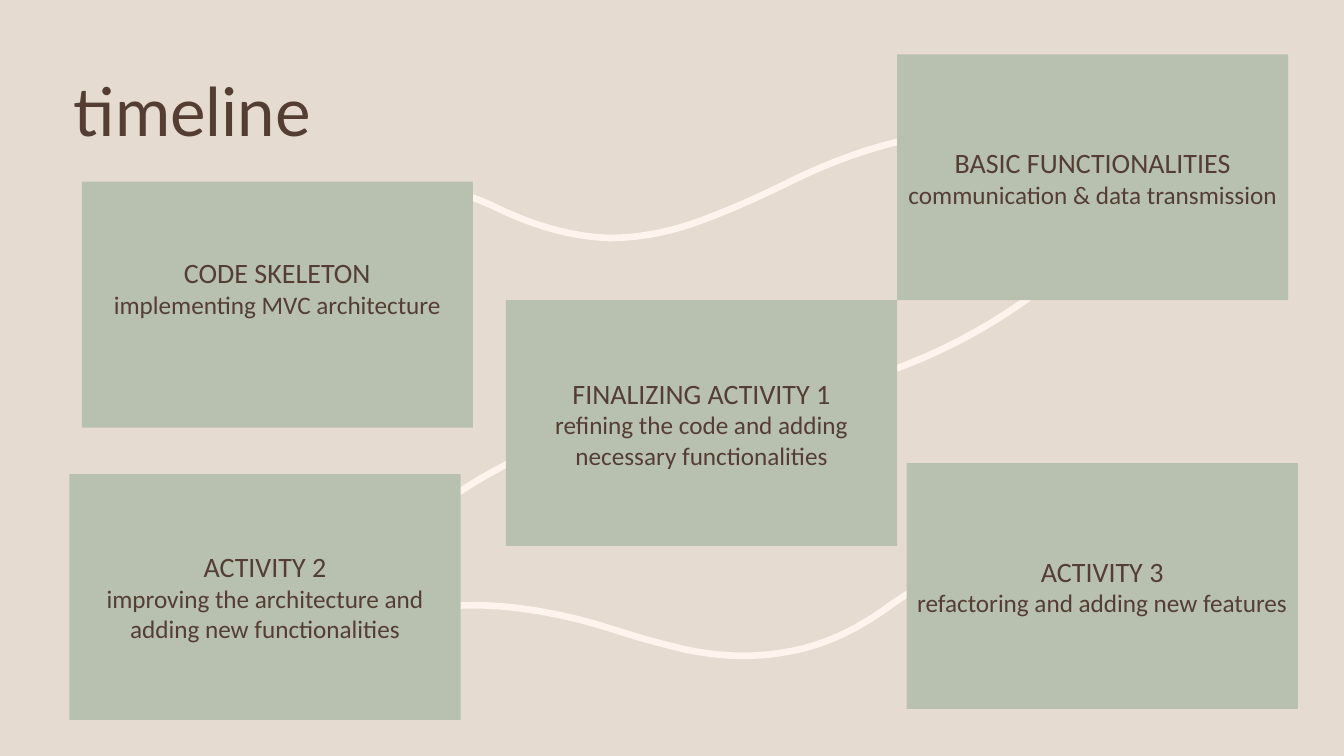
import pptx
import pptx.util
import pptx.dml.color
import pptx.enum.shapes
import pptx.enum.text

Pt = pptx.util.Pt
COLORS = {"background": "E6DBD0", "card": "B8C0B0", "path": "FEF3ED", "text": "543E34"}

# Content: heading, detail, left, top, extra space below the text
CARD_SIZE = (279.4, 175.6)
CARDS = [
    ("CODE SKELETON", "implementing MVC architecture", 58.4, 129.8, 24),
    ("BASIC FUNCTIONALITIES", "communication & data transmission", 640.8, 38.8, 0),
    ("FINALIZING ACTIVITY 1", "refining the code and adding necessary functionalities",
     361.4, 214.4, 0),
    ("ACTIVITY 2", "improving the architecture and adding new functionalities",
     49.6, 338.6, 0),
    ("ACTIVITY 3", "refactoring and adding new features", 647.6, 330.8, 0),
]

# Winding paths: a start point, then three points for each cubic curve
PATHS = [
    [(600, 276), (657, 261), (709, 235), (754, 198)],
    [(420, 308), (365, 325), (320, 353), (280, 388)],
    [(221, 161), (252, 135), (287, 127), (323, 137),
     (336, 140), (346, 144), (358, 150), (382, 161), (407, 169), (435, 170),
     (459, 170), (482, 165), (505, 156), (531, 146), (545, 139), (560, 132),
     (577, 123), (677, 74), (739, 105)],
    [(662, 417), (651, 422), (642, 428), (631, 436),
     (611, 450), (587, 462), (560, 466), (537, 470), (514, 469), (490, 464),
     (464, 458), (449, 453), (433, 448), (416, 443), (312, 410), (250, 458)],
]
CURVE_STEPS = 16


def color(name):
    return pptx.dml.color.RGBColor.from_string(COLORS[name])


def style_text(para, font_name, size):
    for span in para.runs:
        span.font.name = font_name
        span.font.size = Pt(size)
        span.font.color.rgb = color("text")


def curve_points(points):
    """Points along a chain of cubic curves, after its start point."""
    for first in range(0, len(points) - 1, 3):
        a, b, c, d = points[first:first + 4]
        for step in range(1, CURVE_STEPS + 1):
            t = step / CURVE_STEPS
            u = 1 - t
            yield tuple(
                Pt(u**3 * a[i] + 3 * u * u * t * b[i] + 3 * u * t * t * c[i] + t**3 * d[i])
                for i in (0, 1))


def add_path(page, points):
    start_x, start_y = points[0]
    builder = page.shapes.build_freeform(Pt(start_x), Pt(start_y))
    builder.add_line_segments(list(curve_points(points)), close=False)
    path = builder.convert_to_shape()
    path.shadow.inherit = False
    path.fill.background()
    path.line.color.rgb = color("path")
    path.line.width = Pt(4.75)


def add_card(page, heading, detail, left, top, space_below):
    width, height = CARD_SIZE
    card = page.shapes.add_shape(
        pptx.enum.shapes.MSO_SHAPE.RECTANGLE, Pt(left), Pt(top), Pt(width), Pt(height))
    card.shadow.inherit = False
    card.fill.solid()
    card.fill.fore_color.rgb = color("card")
    card.line.fill.background()
    frame = card.text_frame
    frame.word_wrap = True
    frame.vertical_anchor = pptx.enum.text.MSO_ANCHOR.MIDDLE
    frame.margin_left = frame.margin_right = Pt(4)
    frame.margin_top = Pt(3.6)
    frame.margin_bottom = Pt(3.6 + space_below)
    frame.text = f"{heading}\n{detail}"
    for para, size in zip(frame.paragraphs, (20, 18)):
        para.alignment = pptx.enum.text.PP_ALIGN.CENTER
        style_text(para, "Calibri", size)


def main():
    deck = pptx.Presentation()
    deck.slide_width, deck.slide_height = Pt(960), Pt(540)
    page = deck.slides.add_slide(deck.slide_layouts[5])
    page.background.fill.solid()
    page.background.fill.fore_color.rgb = color("background")

    # Title
    title = page.shapes.title
    title.left, title.top, title.width, title.height = Pt(45.4), Pt(55.4), Pt(720), Pt(53.2)
    title.text_frame.text = "timeline"
    title.text_frame.vertical_anchor = pptx.enum.text.MSO_ANCHOR.MIDDLE
    para = title.text_frame.paragraphs[0]
    para.alignment = pptx.enum.text.PP_ALIGN.LEFT
    para.line_spacing = 0.9
    style_text(para, "Lato", 48)

    # Paths lie behind the cards
    for points in PATHS:
        add_path(page, points)
    for card in CARDS:
        add_card(page, *card)

    deck.save("out.pptx")


if __name__ == "__main__":
    main()
